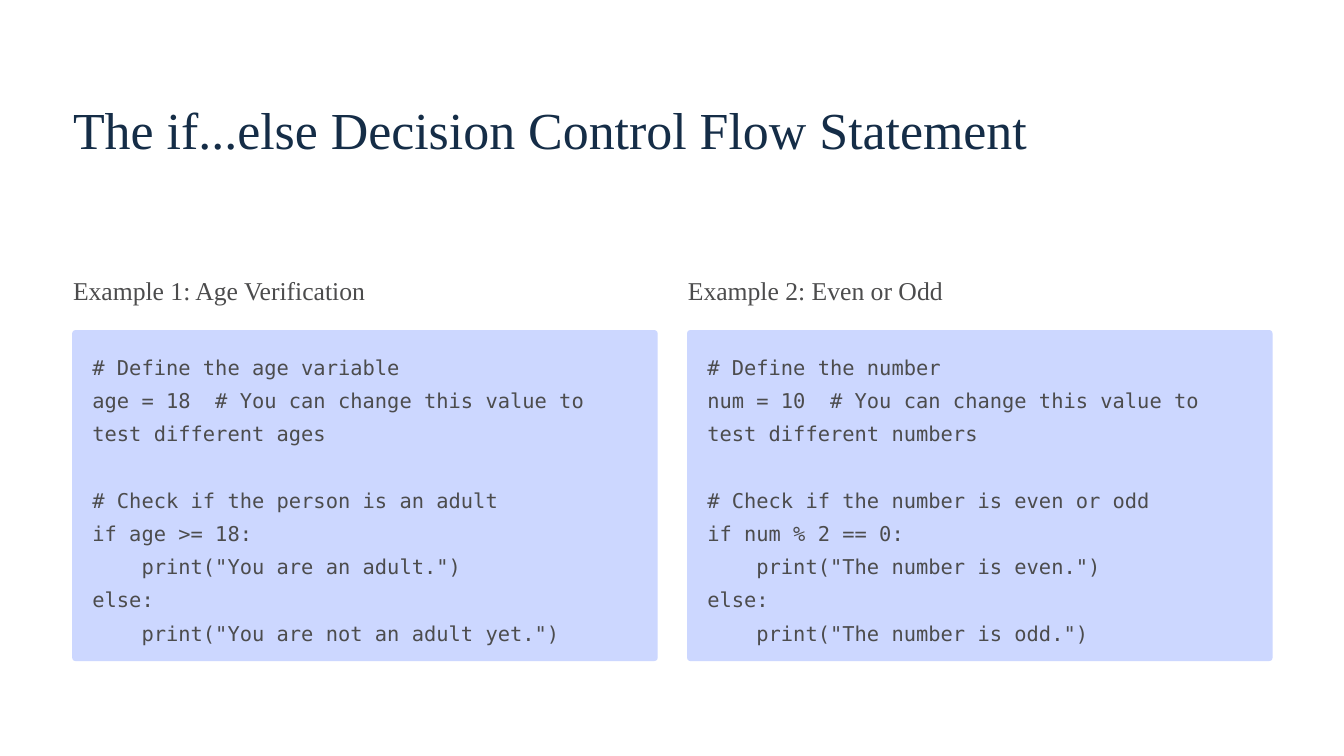
from dataclasses import dataclass

from pptx import Presentation
from pptx.dml.color import RGBColor
from pptx.enum.shapes import MSO_SHAPE
from pptx.util import Inches, Pt

ROUND = MSO_SHAPE.ROUNDED_RECTANGLE


@dataclass(frozen=True)
class Style:
    font: str
    size: float
    lead: float
    color: RGBColor


class Theme:
    paper = RGBColor(0xFF, 0xFF, 0xFF)
    panel = RGBColor(0xCC, 0xD7, 0xFF)
    navy = RGBColor(0x15, 0x2D, 0x47)
    gray = RGBColor(0x4C, 0x4C, 0x4D)
    title = Style("Times New Roman", 44.5, 55.5, navy)
    head = Style("Times New Roman", 22, 27.5, gray)
    code = Style("DejaVu Sans Mono", 17.5, 28.5, gray)


LEFT = 0.87
PITCH = 7.32

# Each example: heading, code blocks parted by an empty line
EXAMPLES = [
    ("Example 1: Age Verification", [
        ["# Define the age variable",
         "age = 18  # You can change this value to test different ages"],
        ["# Check if the person is an adult",
         "if age >= 18:",
         '    print("You are an adult.")',
         "else:",
         '    print("You are not an adult yet.")'],
    ]),
    ("Example 2: Even or Odd", [
        ["# Define the number",
         "num = 10  # You can change this value to test different numbers"],
        ["# Check if the number is even or odd",
         "if num % 2 == 0:",
         '    print("The number is even.")',
         "else:",
         '    print("The number is odd.")'],
    ]),
]


def add_text(slide, box, blocks, style):
    """Write blocks of lines, with one line of space between blocks."""
    frame = slide.shapes.add_textbox(*map(Inches, box)).text_frame
    frame.word_wrap = True
    frame.margin_left = frame.margin_right = 0
    frame.margin_top = frame.margin_bottom = 0
    para = None
    for block in blocks:
        for row, line in enumerate(block):
            first = para is None
            para = frame.paragraphs[0] if first else frame.add_paragraph()
            para.line_spacing = Pt(style.lead)
            if row == 0 and not first:
                para.space_before = Pt(style.lead)
            run = para.add_run()
            run.text = line
            run.font.name = style.font
            run.font.size = Pt(style.size)
            run.font.color.rgb = style.color


def add_panel(slide, box):
    panel = slide.shapes.add_shape(ROUND, *map(Inches, box))
    panel.adjustments[0] = 0.01
    panel.shadow.inherit = False
    panel.fill.solid()
    panel.fill.fore_color.rgb = Theme.panel
    panel.line.fill.background()


def add_example(slide, left, head, code):
    add_text(slide, (left, 3.26, 3.8, 0.39), [[head]], Theme.head)
    add_panel(slide, (left - 0.01, 3.93, 6.97, 3.94))
    add_text(slide, (left + 0.23, 4.12, 6.47, 3.57), code, Theme.code)


def main():
    deck = Presentation()
    deck.slide_width, deck.slide_height = Inches(16), Inches(9)
    slide = deck.slides.add_slide(deck.slide_layouts[6])
    slide.background.fill.solid()
    slide.background.fill.fore_color.rgb = Theme.paper

    # Title
    title = "The if...else Decision Control Flow Statement"
    add_text(slide, (LEFT, 1.13, 11.8, 0.78), [[title]], Theme.title)

    # Code examples side by side
    for col, example in enumerate(EXAMPLES):
        add_example(slide, LEFT + col * PITCH, *example)

    deck.save("out.pptx")


if __name__ == "__main__":
    main()
